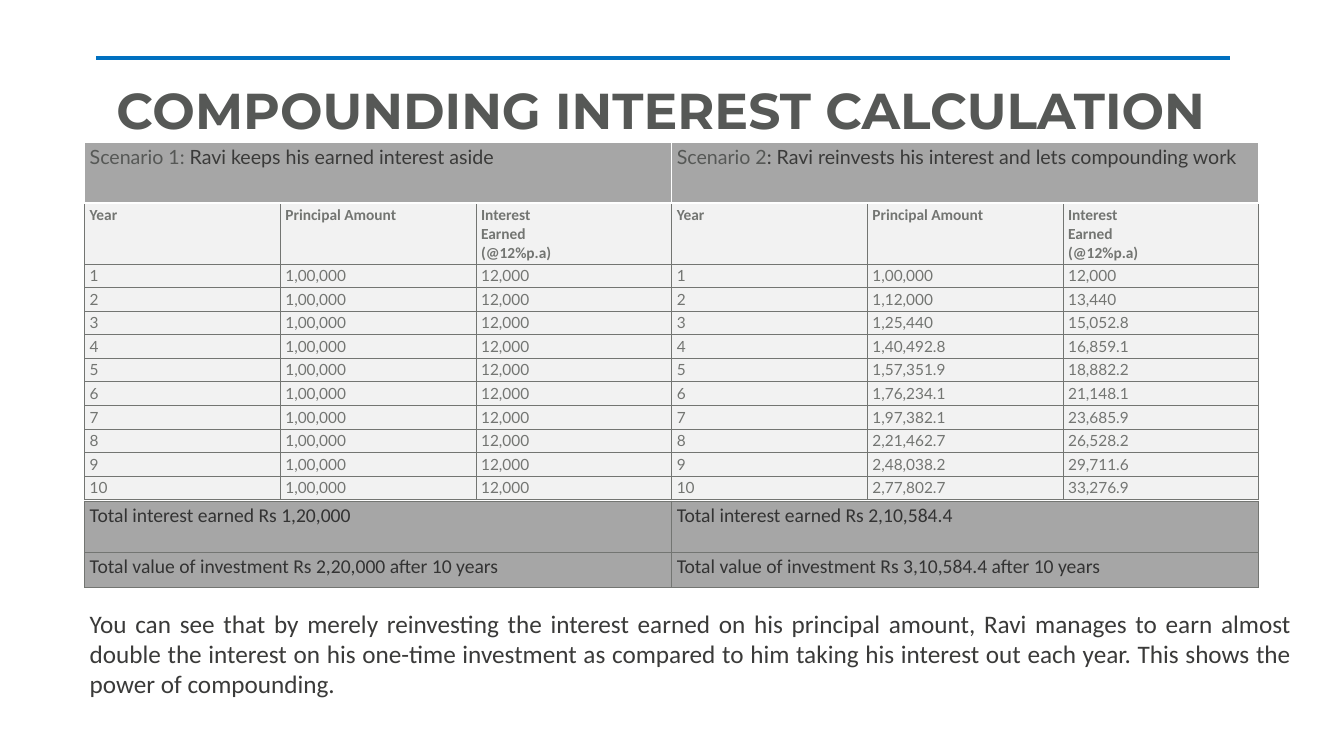
from lxml.etree import SubElement
from pptx import Presentation
from pptx.dml.color import RGBColor
from pptx.enum.shapes import MSO_CONNECTOR
from pptx.enum.text import PP_ALIGN
from pptx.oxml.ns import qn
from pptx.util import Pt

PX = 9144  # EMU in one px, 100 px to the inch

BLUE = RGBColor(0x00, 0x70, 0xC0)
SLATE = RGBColor(0x56, 0x58, 0x56)
INK = RGBColor(0x3A, 0x3A, 0x39)
DARK = RGBColor(0x33, 0x33, 0x33)
GREY = RGBColor(0x73, 0x75, 0x72)
SILVER = RGBColor(0xA6, 0xA6, 0xA6)
PALE = RGBColor(0xF2, 0xF2, 0xF2)
WHITE = RGBColor(0xFF, 0xFF, 0xFF)

LEFT, WIDTH = 168, 2329  # shared by the three tables

HEAD = ["Year", "Principal Amount", "Interest\nEarned\n(@12%p.a)"]
GROWTH = [
    ("1,00,000", "12,000"),
    ("1,12,000", "13,440"),
    ("1,25,440", "15,052.8"),
    ("1,40,492.8", "16,859.1"),
    ("1,57,351.9", "18,882.2"),
    ("1,76,234.1", "21,148.1"),
    ("1,97,382.1", "23,685.9"),
    ("2,21,462.7", "26,528.2"),
    ("2,48,038.2", "29,711.6"),
    ("2,77,802.7", "33,276.9"),
]
TOTALS = [
    ["Total interest earned Rs 1,20,000",
     "Total interest earned Rs 2,10,584.4"],
    ["Total value of investment Rs 2,20,000 after 10 years",
     "Total value of investment Rs 3,10,584.4 after 10 years"],
]
SCENES = [
    [("Scenario 1: ", SLATE), ("Ravi keeps his earned interest aside", INK)],
    [("Scenario 2", SLATE),
     (": Ravi reinvests his interest and lets compounding work", INK)],
]
LESSON = (
    "You can see that by merely reinvesting the interest earned on his "
    "principal amount, Ravi manages to earn almost double the interest on "
    "his one-time investment as compared to him taking his interest out "
    "each year. This shows the power of compounding."
)


def style(run, face, size, color, bold=False):
    font = run.font
    font.name, font.size, font.bold = face, Pt(size), bold
    font.color.rgb = color


def style_all(frame, *look):
    for para in frame.paragraphs:
        for run in para.runs:
            style(run, *look)


def add_text(slide, box, text, align, *look):
    frame = slide.shapes.add_textbox(*(n * PX for n in box)).text_frame
    frame.word_wrap = True
    frame.text = text
    frame.paragraphs[0].alignment = align
    style_all(frame, *look)


def add_rule(slide, left, right, y):
    line = slide.shapes.add_connector(
        MSO_CONNECTOR.STRAIGHT, left * PX, y * PX, right * PX, y * PX)
    line.line.color.rgb = BLUE
    line.line.width = Pt(4.5)
    SubElement(line._element.spPr, qn("a:effectLst"))


def add_edges(cell, color, base):
    props = cell._tc.get_or_add_tcPr()
    for side, width in zip("LRTB", (1, 1, 1, base)):
        edge = SubElement(props, qn("a:ln" + side), w=str(Pt(width)))
        fill = SubElement(edge, qn("a:solidFill"))
        SubElement(fill, qn("a:srgbClr"), val=str(color))


def add_grid(slide, top, cols, heights, fill, edge, base=1):
    table = slide.shapes.add_table(
        len(heights), cols, LEFT * PX, top * PX,
        WIDTH * PX, sum(heights) * PX).table
    table.first_row = table.horz_banding = False
    for col in table.columns:
        col.width = WIDTH * PX // cols
    for row, height in zip(table.rows, heights):
        row.height = height * PX
    for cell in table.iter_cells():
        add_edges(cell, edge, base)
        cell.fill.solid()
        cell.fill.fore_color.rgb = fill
    return table


def put(cell, text, *look):
    cell.text_frame.text = text
    style_all(cell.text_frame, *look)


def add_years(slide):
    table = add_grid(slide, 404, 6, [120] + [46] * 10, PALE, GREY)
    for c, text in enumerate(HEAD * 2):
        put(table.cell(0, c), text, "Calibri", 22, GREY, True)
    for year, pair in enumerate(GROWTH, 1):
        values = [str(year), *GROWTH[0], str(year), *pair]
        for c, text in enumerate(values):
            put(table.cell(year, c), text, "Lato", 22, GREY)


def add_scenes(slide):
    table = add_grid(slide, 283, 2, [119], SILVER, WHITE, 3)
    for c, parts in enumerate(SCENES):
        para = table.cell(0, c).text_frame.paragraphs[0]
        for text, color in parts:
            run = para.add_run()
            run.text = text
            style(run, "Lato", 28, color)


def add_totals(slide):
    table = add_grid(slide, 994, 2, [102, 70], SILVER, GREY)
    for r, row in enumerate(TOTALS):
        for c, text in enumerate(row):
            put(table.cell(r, c), text, "Calibri", 28, DARK)


def main():
    deck = Presentation()
    deck.slide_width, deck.slide_height = 2666 * PX, 1500 * PX
    slide = deck.slides.add_slide(deck.slide_layouts[6])

    # Heading
    add_rule(slide, 191, 2440, 115)
    add_text(slide, (27, 153, 2567, 131), "COMPOUNDING INTEREST CALCULATION",
             PP_ALIGN.CENTER, "Montserrat", 72, SLATE, True)

    # Tables
    add_years(slide)
    add_scenes(slide)
    add_totals(slide)

    # Lesson
    add_text(slide, (168, 1202, 2404, 192), LESSON,
             PP_ALIGN.JUSTIFY, "Calibri", 36, INK)

    deck.save("out.pptx")


if __name__ == "__main__":
    main()
